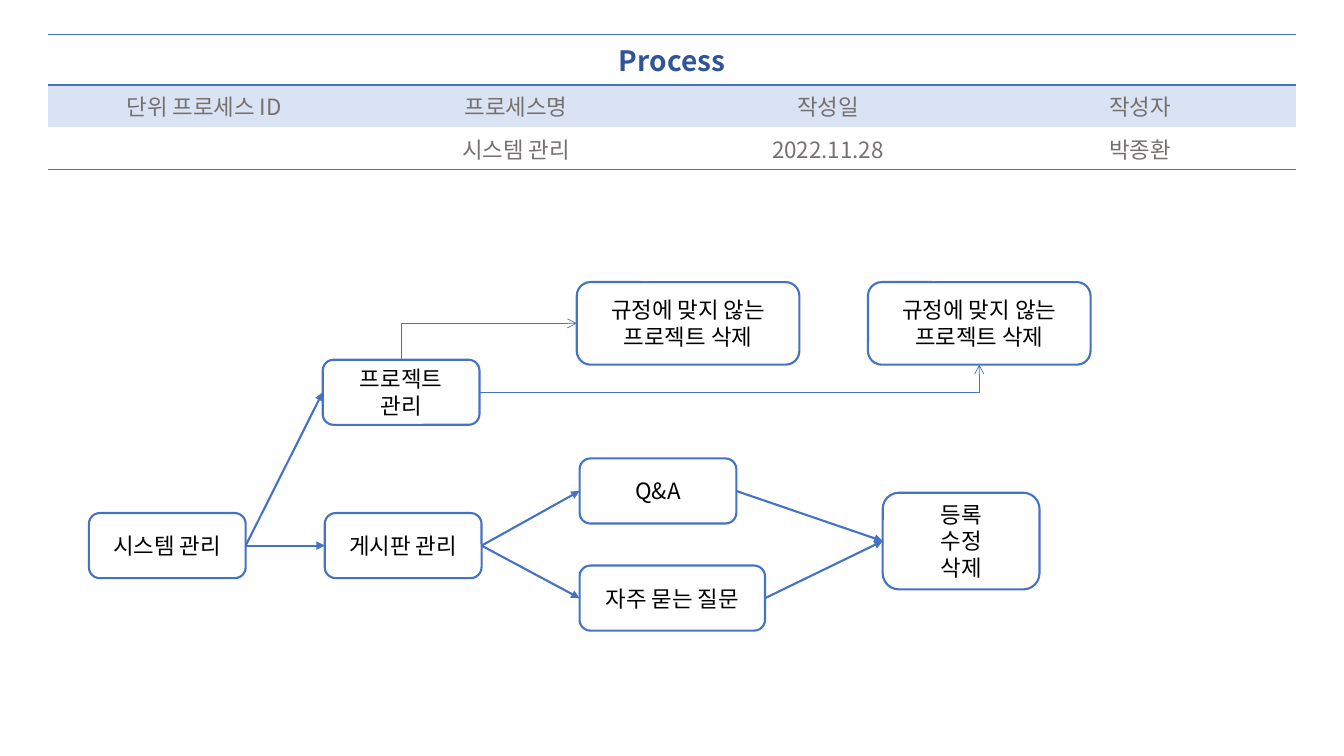
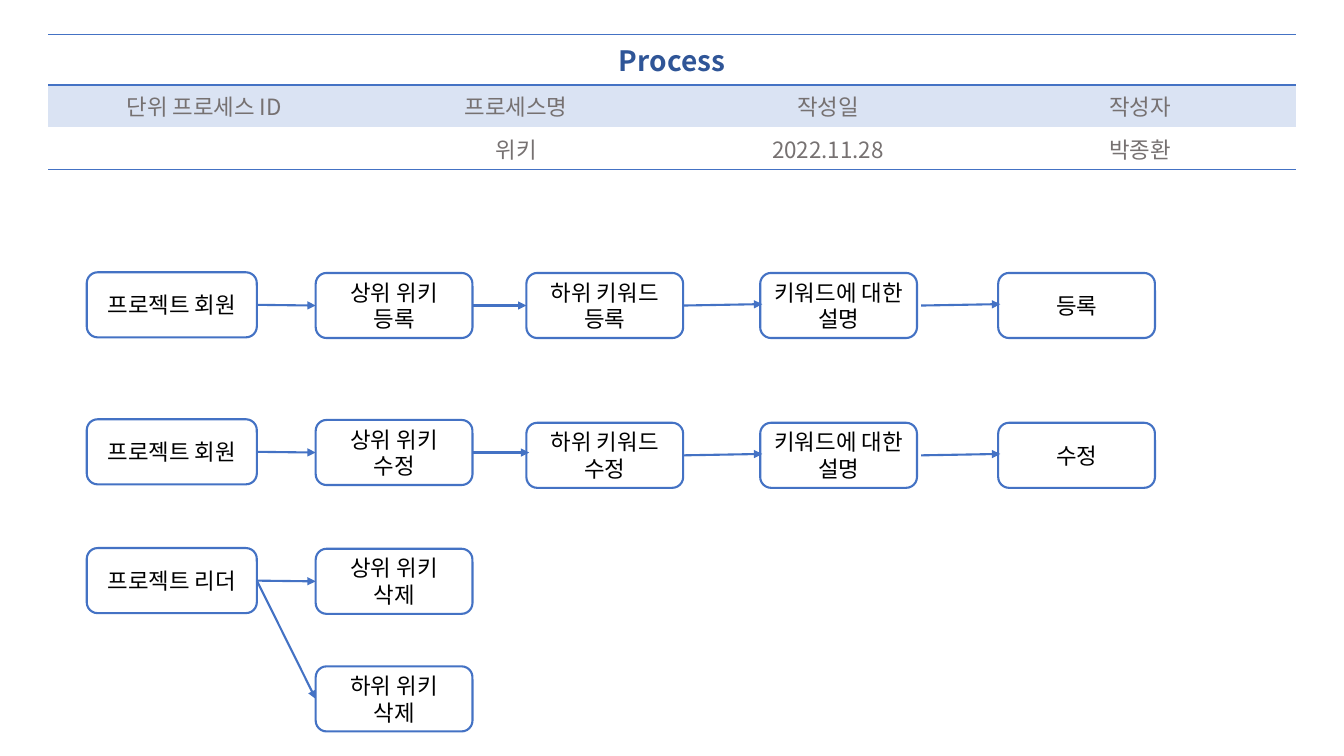
from lxml import etree
from pptx import Presentation
from pptx.dml.color import RGBColor
from pptx.enum.shapes import MSO_CONNECTOR, MSO_SHAPE
from pptx.enum.text import MSO_ANCHOR, PP_ALIGN
from pptx.oxml.ns import qn
from pptx.util import Pt

ROUND_RECT = MSO_SHAPE.ROUNDED_RECTANGLE
STRAIGHT, ELBOW = MSO_CONNECTOR.STRAIGHT, MSO_CONNECTOR.ELBOW
CENTER, MIDDLE = PP_ALIGN.CENTER, MSO_ANCHOR.MIDDLE
LEFT_SITE, RIGHT_SITE = 1, 3

COLORS = {"line": "4472C4", "title": "2F5597", "label": "767171",
          "band": "DAE3F3", "box": "FFFFFF", "text": "000000"}
FONT = "Noto Sans CJK KR"
PLAIN_TABLE = "{2D5ABB26-0587-4C30-8999-92F81FD0307C}"
HEADINGS = ["단위 프로세스 ID", "프로세스명", "작성일", "작성자"]
DATE, AUTHOR = "2022.11.28", "박종환"
TABLE_BOX = (34.5, 24.5, 891.2)
ROW_HEIGHTS = (33, 27.4, 27.4)
BOX_W, BOX_H = 112, 46.5


def rgb(name):
    return RGBColor.from_string(COLORS[name])


def write(tf, lines, size, color, bold=False):
    for i, line in enumerate(lines):
        p = tf.paragraphs[0] if i == 0 else tf.add_paragraph()
        p.alignment = CENTER
        if not line:
            p._p.get_or_add_endParaRPr().set("sz", str(size * 100))
            continue
        r = p.add_run()
        r.text = line
        r.font.size = Pt(size)
        r.font.bold = bold
        r.font.name = FONT
        r.font.color.rgb = rgb(color)
        etree.SubElement(r._r.get_or_add_rPr(), qn("a:ea"), typeface=FONT)


def border(cell, side):
    ln = etree.SubElement(cell._tc.get_or_add_tcPr(), qn(f"a:ln{side}"), w=str(Pt(1)))
    fill = etree.SubElement(ln, qn("a:solidFill"))
    etree.SubElement(fill, qn("a:srgbClr"), val=COLORS["line"])


def header_table(s, box, process):
    left, top, width = box
    frame = s.shapes.add_table(3, 4, Pt(left), Pt(top), Pt(width), Pt(sum(ROW_HEIGHTS)))
    table = frame.table
    table.first_row = table.horz_banding = False
    table._tbl.tblPr.find(qn("a:tableStyleId")).text = PLAIN_TABLE
    for row, height in zip(table.rows, ROW_HEIGHTS):
        row.height = Pt(height)
    table.cell(0, 0).merge(table.cell(0, 3))
    write(table.cell(0, 0).text_frame, ["Process"], 20, "title", True)
    values = ["", process, DATE, AUTHOR]
    sides = ("TB", "", "B")
    for i, row in enumerate(table.rows):
        for j, cell in enumerate(row.cells):
            for side in sides[i]:
                border(cell, side)
            if i == 1:
                cell.fill.solid()
                cell.fill.fore_color.rgb = rgb("band")
            else:
                cell.fill.background()
            if i:
                write(cell.text_frame, [(HEADINGS, values)[i - 1][j]], 16, "label")


def step(s, x, y, *lines, w=BOX_W, h=BOX_H):
    sp = s.shapes.add_shape(ROUND_RECT, Pt(x), Pt(y), Pt(w), Pt(h))
    sp.shadow.inherit = False
    sp.fill.solid()
    sp.fill.fore_color.rgb = rgb("box")
    sp.line.color.rgb = rgb("line")
    sp.line.width = Pt(1.5)
    tf = sp.text_frame
    tf.word_wrap = True
    tf.vertical_anchor = MIDDLE
    write(tf, lines, 16, "text")
    return sp


def connector(s, kind, start, end, width, head):
    c = s.shapes.add_connector(kind, *(int(v) for v in (*start, *end)))
    c.line.color.rgb = rgb("line")
    c.line.width = Pt(width)
    etree.SubElement(c.line._ln, qn("a:tailEnd"), type=head)
    etree.SubElement(c._element.spPr, qn("a:effectLst"))
    return c


def arrow(s, a, b, start=(0, 0), end=(0, 0)):
    begin = (a.left + a.width + Pt(start[0]), a.top + a.height / 2 + Pt(start[1]))
    finish = (b.left + Pt(end[0]), b.top + b.height / 2 + Pt(end[1]))
    c = connector(s, STRAIGHT, begin, finish, 1.5, "triangle")
    if not any(start + end):
        c.begin_connect(a, RIGHT_SITE)
        c.end_connect(b, LEFT_SITE)


def elbow(s, start, end):
    c = connector(s, ELBOW, start, end, 0.5, "arrow")
    c._element.spPr.find(qn("a:prstGeom")).set("prst", "bentConnector2")
    return c


def across_then_up(s, a, b):
    elbow(s, (a.left + a.width, a.top + a.height / 2),
          (b.left + b.width / 2, b.top + b.height))


def up_then_across(s, a, b):
    x1, y1 = a.left + a.width / 2, a.top
    x2, y2 = b.left, b.top + b.height / 2
    cx, cy = (x1 + x2) / 2, (y1 + y2) / 2
    dx, dy = (x2 - x1) / 2, (y1 - y2) / 2
    c = elbow(s, (cx + dy, cy + dx), (cx - dy, cy - dx))
    c._element.spPr.find(qn("a:xfrm")).set("rot", "5400000")


def process_slide(prs, process):
    s = prs.slides.add_slide(prs.slide_layouts[6])
    header_table(s, TABLE_BOX, process)
    return s


def system_flow(s, x, y):
    system = step(s, x, y + 165, "시스템 관리")
    project = step(s, x + 167, y + 55.5, "프로젝트", "관리")
    board = step(s, x + 168.5, y + 165, "게시판 관리")
    removals = [step(s, x + dx, y, "규정에 맞지 않는 프로젝트 삭제", w=159, h=59)
                for dx in (348.5, 556.5)]
    qna = step(s, x + 350.5, y + 126, "Q&A")
    faq = step(s, x + 350.5, y + 202.5, "자주 묻는 질문", w=132.5)
    edit = step(s, x + 567, y + 150.5, "등록", "수정", "삭제", h=69)
    for a, b in ((system, project), (system, board), (board, qna),
                 (board, faq), (qna, edit), (faq, edit)):
        arrow(s, a, b)
    up_then_across(s, project, removals[0])
    across_then_up(s, project, removals[1])


def member_row(s, x, y, action, drop):
    member = step(s, x, y, "프로젝트 회원", w=121.5)
    parent = step(s, x + 163.5, y + 0.5, "상위 위키", action)
    child = step(s, x + 314, y + 0.5 + drop, "하위 키워드", action)
    about = step(s, x + 481, y + 0.5 + drop, "키워드에 대한 설명")
    result = step(s, x + 651, y + 0.5 + drop, action)
    arrow(s, member, parent)
    arrow(s, parent, child, end=(drop, -drop))
    arrow(s, child, about, end=(1.5, -1))
    arrow(s, about, result, start=(3, 0), end=(1.5, -1))


def leader_tree(s, x, y):
    leader = step(s, x, y, "프로젝트 리더", w=121.5)
    for level, dy in (("상위 위키", 0.5), ("하위 위키", 84.5)):
        arrow(s, leader, step(s, x + 163.5, y + dy, level, "삭제"))


def main():
    prs = Presentation()
    prs.slide_width, prs.slide_height = Pt(960), Pt(540)
    system_flow(process_slide(prs, "시스템 관리"), 63.5, 201.5)
    s = process_slide(prs, "위키")
    member_row(s, 62, 194.5, "등록", 0)
    member_row(s, 62, 299.5, "수정", 2)
    leader_tree(s, 62, 391.5)
    prs.save("out.pptx")


if __name__ == "__main__":
    main()
